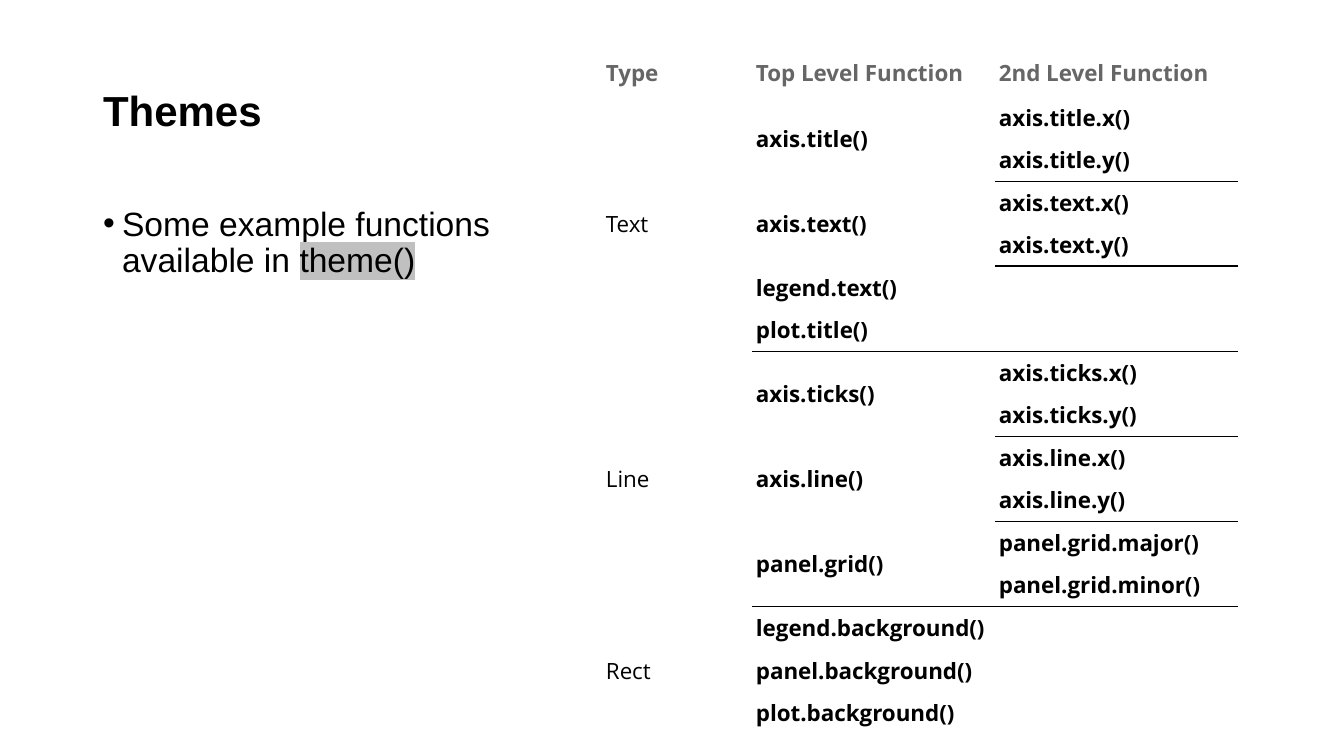
from dataclasses import dataclass

from lxml import etree
from pptx import Presentation
from pptx.dml.color import RGBColor
from pptx.enum.text import MSO_ANCHOR, MSO_AUTO_SIZE, PP_ALIGN
from pptx.oxml.ns import qn
from pptx.util import Pt

EMU_PER_PX = 914400 / 100.8
MIDDLE, TOP, BOTTOM = MSO_ANCHOR.MIDDLE, MSO_ANCHOR.TOP, MSO_ANCHOR.BOTTOM
LEFT, NO_FIT = PP_ALIGN.LEFT, MSO_AUTO_SIZE.NONE
BLACK, GREY, WHITE, SILVER = "000000", "666666", "FFFFFF", "C0C0C0"


@dataclass
class Style:
    """Look of a text run."""
    font: str
    size: int
    color: str = BLACK
    bold: bool = False


@dataclass
class Function:
    """A top level theme function and its second level functions."""
    name: str
    subs: tuple[str, ...] = ()

    @property
    def rows(self) -> int:
        """Number of table rows taken."""
        return max(1, len(self.subs))


@dataclass
class Group:
    """An element type and its functions."""
    name: str
    functions: list[Function]


TITLE = Style("Arial", 30, bold=True)
BODY = Style("Arial", 24)
HEADER = Style("Open Sans", 16, GREY, True)
TYPE = Style("Open Sans", 16)
CODE = Style("Open Sans", 16, bold=True)

HEADERS = ("Type", "Top Level Function", "2nd Level Function")
GROUPS = [
    Group("Text", [
        Function("axis.title()", ("axis.title.x()", "axis.title.y()")),
        Function("axis.text()", ("axis.text.x()", "axis.text.y()")),
        Function("legend.text()"),
        Function("plot.title()")]),
    Group("Line", [
        Function("axis.ticks()", ("axis.ticks.x()", "axis.ticks.y()")),
        Function("axis.line()", ("axis.line.x()", "axis.line.y()")),
        Function("panel.grid()", ("panel.grid.major()", "panel.grid.minor()"))]),
    Group("Rect", [
        Function("legend.background()"),
        Function("panel.background()"),
        Function("plot.background()")]),
]
COLUMNS = (150, 243, 243)
HEADER_HEIGHT, ROW_HEIGHT = 34, 29


def px(n: int) -> int:
    """Turn pixels into EMU."""
    return round(n * EMU_PER_PX)


def rgb(color: str) -> RGBColor:
    """Turn a hex string into a colour."""
    return RGBColor.from_string(color)


def add_run(p, text: str, style: Style, highlight: str = "") -> None:
    """Add a styled run, highlighted if a colour is given."""
    r = p.add_run()
    r.text = text
    r.font.name, r.font.size, r.font.bold = style.font, Pt(style.size), style.bold
    r.font.color.rgb = rgb(style.color)
    if highlight:
        mark = etree.Element(qn("a:highlight"))
        etree.SubElement(mark, qn("a:srgbClr"), val=highlight)
        r.font._element.find(qn("a:latin")).addprevious(mark)


def setup_placeholder(sp, box: tuple[int, int, int, int], anchor):
    """Move a placeholder and return its first paragraph."""
    sp.left, sp.top, sp.width, sp.height = map(px, box)
    tf = sp.text_frame
    tf.word_wrap, tf.auto_size, tf.vertical_anchor = True, NO_FIT, anchor
    p = tf.paragraphs[0]
    p.alignment, p.line_spacing = LEFT, 0.9
    return p


def set_bullet(p, indent: int) -> None:
    """Give a paragraph a hanging bullet."""
    pPr = p._p.get_or_add_pPr()
    pPr.set("marL", str(px(indent)))
    pPr.set("indent", str(-px(indent)))
    etree.SubElement(pPr, qn("a:buFont"), typeface="Arial")
    etree.SubElement(pPr, qn("a:buChar"), char="•")


def format_cell(cell, ruled: str, anchor, margin: int) -> None:
    """Set a cell's borders (ruled on the given sides), insets and fill."""
    tcPr = cell._tc.get_or_add_tcPr()
    for side in "LRTB":
        ln = etree.SubElement(tcPr, qn(f"a:ln{side}"), w=str(Pt(1)))
        if side in ruled:
            fill = etree.SubElement(ln, qn("a:solidFill"))
            etree.SubElement(fill, qn("a:srgbClr"), val=BLACK)
        else:
            etree.SubElement(ln, qn("a:noFill"))
    cell.fill.solid()
    cell.fill.fore_color.rgb = rgb(WHITE)
    cell.vertical_anchor = anchor
    cell.margin_left = cell.margin_right = px(4)
    cell.margin_top = cell.margin_bottom = px(margin)


def put(table, row: int, col: int, text: str, style: Style, rows: int = 1) -> None:
    """Write a cell, merged over the given number of rows."""
    cell = table.cell(row, col)
    if rows > 1:
        cell.merge(table.cell(row + rows - 1, col))
    add_run(cell.text_frame.paragraphs[0], text, style)


def fill_table(table) -> dict[int, int]:
    """Write all wording; return the first ruled column below each divided row."""
    rules = {}
    for col, text in enumerate(HEADERS):
        put(table, 0, col, text, HEADER)
    row = 1
    for group in GROUPS:
        put(table, row, 0, group.name, TYPE, sum(f.rows for f in group.functions))
        for function in group.functions:
            put(table, row, 1, function.name, CODE, function.rows)
            for i, sub in enumerate(function.subs):
                put(table, row + i, 2, sub, CODE)
            row += function.rows
            if function.subs:
                rules[row - 1] = 2
        if group is not GROUPS[-1]:
            rules[row - 1] = 1
    return rules


def add_function_table(s) -> None:
    """Add the table of theme functions."""
    count = 1 + sum(f.rows for g in GROUPS for f in g.functions)
    frame = s.shapes.add_table(count, len(COLUMNS), px(602), px(50),
                               px(sum(COLUMNS)), px(622))
    table = frame.table
    table.first_row = table.horz_banding = False
    for column, width in zip(table.columns, COLUMNS):
        column.width = px(width)
    rules = fill_table(table)
    for i, row in enumerate(table.rows):
        row.height = px(ROW_HEIGHT if i else HEADER_HEIGHT)
        for col, cell in enumerate(row.cells):
            ruled = "T" if col >= rules.get(i - 1, 3) else ""
            ruled += "B" if col >= rules.get(i, 3) else ""
            format_cell(cell, ruled, MIDDLE if i else BOTTOM, 6 if i else 8)
    frame.height = px(622)


def main() -> None:
    """Build the slide."""
    prs = Presentation()
    prs.slide_width, prs.slide_height = px(1344), px(756)
    s = prs.slides.add_slide(prs.slide_layouts[1])
    title, body = s.placeholders
    add_run(setup_placeholder(title, (93, 40, 1159, 146), MIDDLE), "Themes", TITLE)
    p = setup_placeholder(body, (93, 202, 412, 480), TOP)
    p.space_before = Pt(7.5)
    set_bullet(p, 19)
    add_run(p, "Some example functions available in ", BODY)
    add_run(p, "theme()", BODY, SILVER)
    add_function_table(s)
    prs.save("out.pptx")


main()
